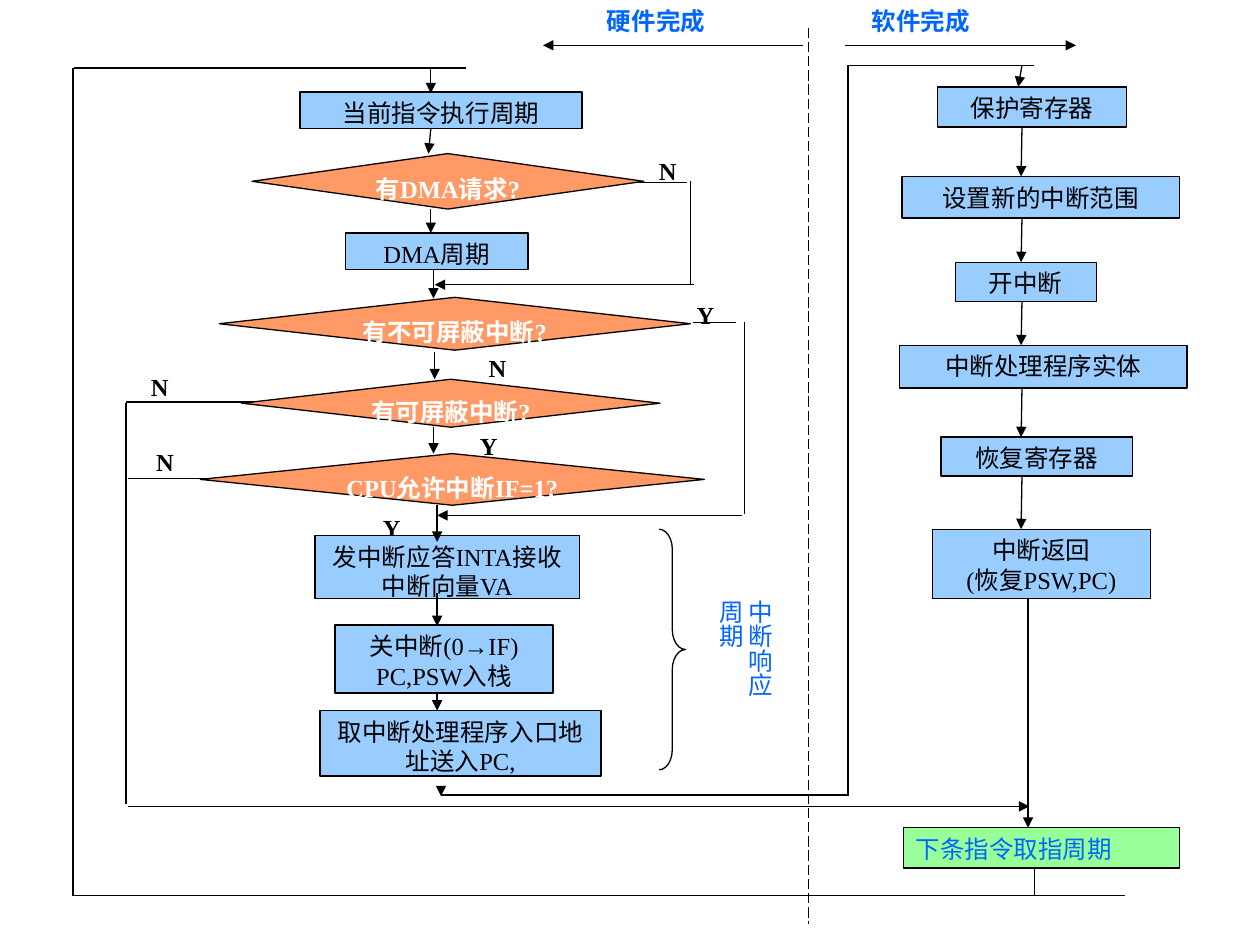
import pptx
import pptx.dml.color
import pptx.enum.dml
import pptx.enum.shapes
import pptx.enum.text
import pptx.oxml.ns
import pptx.util
from lxml import etree

Pt = pptx.util.Pt
Shape = pptx.enum.shapes.MSO_SHAPE
Align = pptx.enum.text.PP_ALIGN
COLORS = {"black": "000000", "white": "FFFFFF", "step": "99CCFF",
          "decision": "FF9966", "next": "99FF99", "accent": "0066FF"}


def color(name):
    return pptx.dml.color.RGBColor.from_string(COLORS[name])


class FlowChart:
    font_name = "Times New Roman"
    font_size = 14
    line_width = 0.75

    def __init__(self, slide):
        self.slide = slide

    def set_text(self, shape, text, ink, bold, align):
        frame = shape.text_frame
        frame.word_wrap = True
        frame.vertical_anchor = pptx.enum.text.MSO_ANCHOR.TOP
        frame.text = text
        for para in frame.paragraphs:
            para.alignment = align
            para.font.name = self.font_name
            para.font.size = Pt(self.font_size)
            para.font.bold = bold
            para.font.color.rgb = color(ink)

    def outline(self, shape):
        shape.line.color.rgb = color("black")
        shape.line.width = Pt(self.line_width)

    def block(self, kind, bounds, text, fill, ink="black", bold=False, align=Align.CENTER):
        box = self.slide.shapes.add_shape(kind, *map(Pt, bounds))
        box.shadow.inherit = False
        box.fill.solid()
        box.fill.fore_color.rgb = color(fill)
        self.outline(box)
        self.set_text(box, text, ink, bold, align)

    def step(self, bounds, text):
        self.block(Shape.RECTANGLE, bounds, text, "step")

    def decision(self, bounds, text):
        self.block(Shape.FLOWCHART_DECISION, bounds, text, "decision", "white", True)

    def label(self, bounds, text, ink="black", bold=True):
        box = self.slide.shapes.add_textbox(*map(Pt, bounds))
        self.set_text(box, text, ink, bold, Align.JUSTIFY)
        return box

    def vertical_label(self, bounds, text):
        """Adds text set in columns that run from right to left."""
        box = self.label(bounds, text, "accent", False)
        frame = box.text_frame
        frame.margin_left = frame.margin_right = Pt(3.6)
        frame.margin_top = frame.margin_bottom = Pt(7.2)
        box.element.txBody.bodyPr.set("vert", "eaVert")

    def brace(self, bounds):
        brace = self.slide.shapes.add_shape(Shape.RIGHT_BRACE, *map(Pt, bounds))
        brace.shadow.inherit = False
        brace.fill.background()
        brace.adjustments[0] = 0.76
        self.outline(brace)

    def line(self, *ends, arrow=False, dashed=False):
        connector = self.slide.shapes.add_connector(
            pptx.enum.shapes.MSO_CONNECTOR.STRAIGHT, *map(Pt, ends))
        self.outline(connector)
        if dashed:
            connector.line.dash_style = pptx.enum.dml.MSO_LINE.LONG_DASH
        qn = pptx.oxml.ns.qn
        properties = connector.element.spPr
        if arrow:
            etree.SubElement(properties.find(qn("a:ln")), qn("a:tailEnd"), type="triangle")
        etree.SubElement(properties, qn("a:effectLst"))

    def arrow(self, *ends):
        self.line(*ends, arrow=True)


def main():
    deck = pptx.Presentation()
    deck.slide_width, deck.slide_height = Pt(720), Pt(540)
    chart = FlowChart(deck.slides.add_slide(deck.slide_layouts[6]))

    for left, top, answer in [
            (211.7, 289.4, "Y"), (272.2, 198, "N"), (391, 167.8, "Y"), (267.1, 242.6, "Y"),
            (369.4, 85.7, "N"), (79.2, 208.8, "N"), (82.1, 252, "N")]:
        chart.label((left, top, 41, 17.3), answer)

    hardware_steps = [
        ((171.4, 52.6, 161.3, 20.9), "当前指令执行周期"),
        ((197.3, 133.2, 104.4, 20.9), "DMA周期"),
        ((180, 306, 151.2, 36), "发中断应答INTA接收中断向量VA"),
        ((191.5, 357.1, 124.6, 38.9), "关中断(0→IF)\nPC,PSW入栈"),
        ((182.9, 406.1, 160.6, 37.4), "取中断处理程序入口地址送入PC,")]
    software_steps = [
        ((535.7, 49.7, 108, 23), "保护寄存器"),
        ((515.5, 100.8, 158.4, 23.8), "设置新的中断范围"),
        ((545.8, 149.8, 80.6, 22.3), "开中断"),
        ((514.1, 197.3, 164.2, 24.5), "中断处理程序实体"),
        ((537.8, 249.8, 109.4, 22.3), "恢复寄存器"),
        ((532.8, 302.4, 124.6, 39.6), "中断返回\n(恢复PSW,PC)")]
    for bounds, text in hardware_steps + software_steps:
        chart.step(bounds, text)
    chart.block(Shape.RECTANGLE, (516.2, 473, 157.7, 23), "下条指令取指周期",
                "next", "accent", align=Align.JUSTIFY)

    for bounds, text in [
            ((144, 87.8, 223.9, 31.7), "有DMA请求?"),
            ((125.3, 169.9, 269.3, 30.2), "有不可屏蔽中断?"),
            ((138.2, 216.7, 239, 27.4), "有可屏蔽中断?"),
            ((114.5, 259.2, 288, 29.5), "CPU允许中断IF=1?")]:
        chart.decision(bounds, text)

    # Flow down the hardware column
    for x, top, bottom in [
            (246.2, 38.9, 53.3), (246.2, 119.5, 133.2), (247.7, 154.1, 170.6),
            (248.4, 200.9, 216.7), (247.7, 244.1, 259.2), (249.8, 288.7, 309.6),
            (249.8, 339.1, 357.8), (249.8, 396, 406.1), (252, 450, 455)]:
        chart.arrow(x, top, x, bottom)
    chart.arrow(246.2, 73.4, 244.8, 87.8)

    # Flow down the software column
    for (upper, _), (lower, _) in zip(software_steps, software_steps[1:]):
        chart.arrow(584, upper[1] + upper[3], 583.5, lower[1])
    chart.arrow(584, 37.4, 581.8, 49.7)
    chart.arrow(587.5, 342, 587.5, 473)

    # Branches that skip steps
    chart.line(365, 104.4, 392.4, 104.4)
    chart.line(394.6, 103.7, 394.6, 162)
    chart.arrow(396.7, 162.7, 248.4, 162.7)
    chart.line(396, 184.3, 420.5, 184.3)
    chart.line(425.5, 184.3, 425.5, 293.8)
    chart.arrow(424.1, 294.5, 249.8, 294.5)
    chart.line(144.7, 229.7, 72, 229.7)
    chart.line(118.8, 273.6, 73.4, 273.6)
    chart.line(72, 230.4, 72, 459.4)
    chart.arrow(73.4, 460.8, 588.2, 460.8)

    # Handover from hardware to software
    chart.line(252, 454.3, 485.3, 454.3)
    chart.line(484.6, 454.3, 484.6, 37.4)
    chart.line(484.6, 37.4, 591.1, 37.4)

    # Return to the next instruction
    chart.line(591.1, 511.9, 591.1, 496.8)
    chart.line(42.5, 511.9, 643, 511.9)
    chart.line(41.8, 38.9, 41.8, 511.9)
    chart.line(266.4, 38.9, 42.5, 38.9)

    chart.brace((376.6, 302.4, 15.1, 137.5))
    chart.vertical_label((402.5, 335.5, 43.9, 71.3), "中断响应\n周期")

    # Headings on both sides of the divider
    chart.line(462.2, 15.8, 462.2, 527.8, dashed=True)
    chart.arrow(458.6, 25.9, 310.3, 25.9)
    chart.arrow(483.1, 25.9, 614.9, 25.9)
    for left, heading in [(339.8, "硬件完成"), (491, "软件完成")]:
        chart.label((left, 0, 98.6, 19.4), heading, "accent")

    deck.save("out.pptx")


if __name__ == "__main__":
    main()
